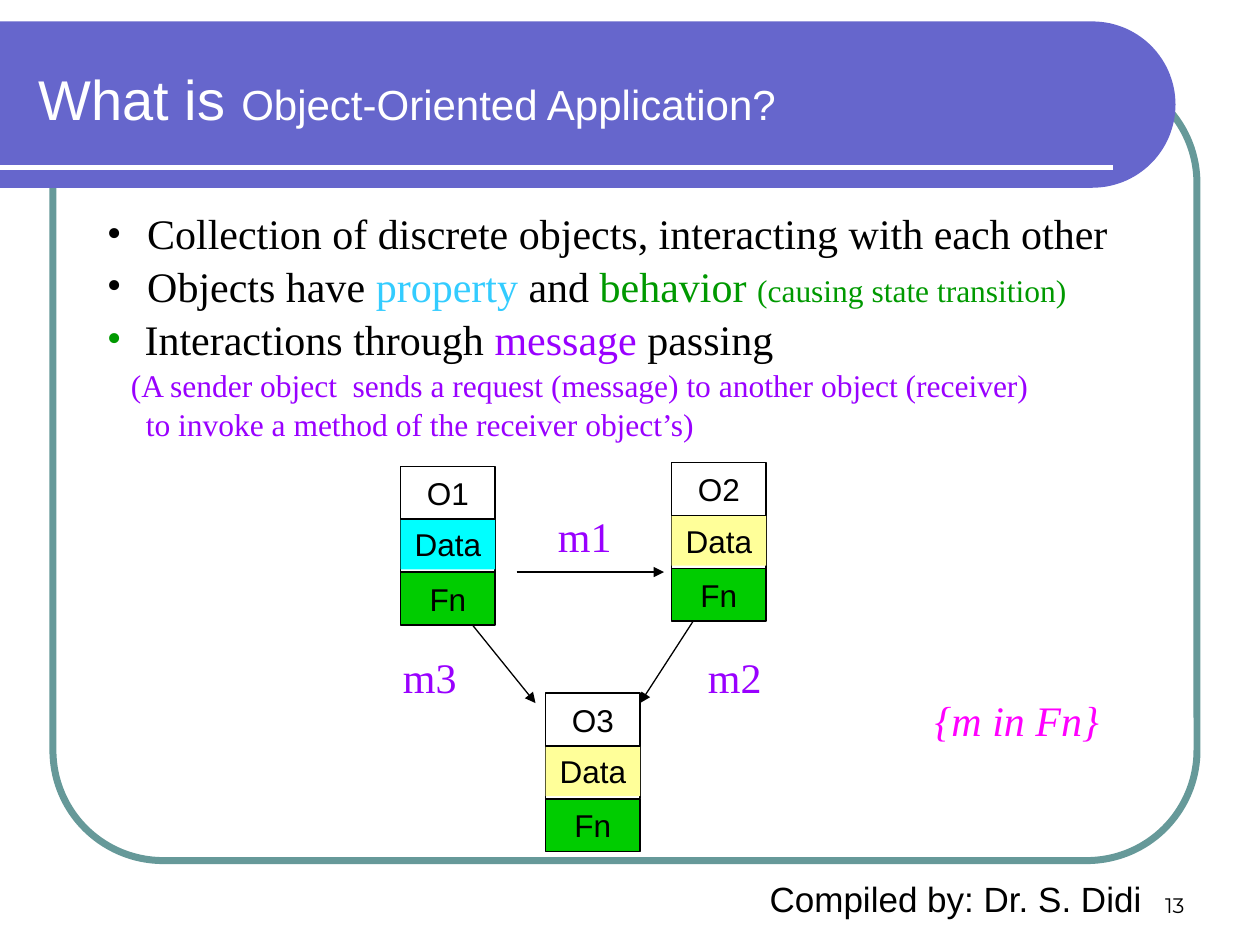
from math import cos, pi, sin

from lxml.etree import SubElement
from pptx import Presentation
from pptx.dml.color import RGBColor
from pptx.enum.shapes import MSO_CONNECTOR as Connector, MSO_SHAPE as Shape
from pptx.enum.text import MSO_ANCHOR as Anchor, PP_ALIGN as Align
from pptx.oxml.ns import qn
from pptx.util import Inches, Pt

BLACK = RGBColor(0x00, 0x00, 0x00)
WHITE = RGBColor(0xFF, 0xFF, 0xFF)
TEAL = RGBColor(0x66, 0x99, 0x99)
INDIGO = RGBColor(0x66, 0x66, 0xCC)
SKY = RGBColor(0x33, 0xCC, 0xFF)
CYAN = RGBColor(0x00, 0xFF, 0xFF)
YELLOW = RGBColor(0xFF, 0xFF, 0x99)
LIME = RGBColor(0x00, 0xCC, 0x00)
GREEN = RGBColor(0x00, 0x99, 0x00)
PURPLE = RGBColor(0x99, 0x00, 0xFF)
MAGENTA = RGBColor(0xFF, 0x00, 0xFF)

SANS, SERIF, NUMBER_FONT = "Arial", "Times New Roman", "Montserrat"
BOX_WIDTH, ROW_HEIGHT = 0.75, 0.42


class SlideBuilder:
    def __init__(self, slide):
        self.slide = slide

    def style(self, shape, fill=None, line=None, weight=0.75):
        shape.shadow.inherit = False
        if fill is None:
            shape.fill.background()
        else:
            shape.fill.solid()
            shape.fill.fore_color.rgb = fill
        if line is None:
            shape.line.fill.background()
        else:
            shape.line.color.rgb = line
            shape.line.width = Pt(weight)
        return shape

    def box(self, left, top, width, height, kind=Shape.RECTANGLE, **style):
        shape = self.slide.shapes.add_shape(
            kind, Inches(left), Inches(top), Inches(width), Inches(height))
        return self.style(shape, **style)

    def banner(self, top, center_x, radius, fill):
        """Band from the left edge of the slide, ending in a half circle."""
        angles = [-pi / 2 + pi * step / 60 for step in range(61)]
        arc = [(Inches(center_x + radius * cos(angle)),
                Inches(top + radius + radius * sin(angle))) for angle in angles]
        outline = self.slide.shapes.build_freeform(0, Inches(top))
        outline.add_line_segments(arc + [(0, Inches(top + 2 * radius))], close=True)
        self.style(outline.convert_to_shape(), fill)

    def line(self, start, end, color=BLACK, weight=0.75, arrow=False):
        connector = self.slide.shapes.add_connector(
            Connector.STRAIGHT, *map(Inches, start + end))
        connector.line.color.rgb = color
        connector.line.width = Pt(weight)
        properties = connector._element.spPr
        if arrow:
            SubElement(properties.get_or_add_ln(), qn("a:tailEnd"), type="triangle")
        SubElement(properties, qn("a:effectLst"))

    def text(self, left, top, width, height, anchor=Anchor.TOP, wrap=True):
        frame = self.slide.shapes.add_textbox(
            Inches(left), Inches(top), Inches(width), Inches(height)).text_frame
        frame.word_wrap = wrap
        frame.vertical_anchor = anchor
        return frame

    def add_runs(self, paragraph, runs, font=SANS, size=18, color=BLACK,
                 align=Align.LEFT, italic=False):
        """Each run is (text, own color or None, own size or None)."""
        paragraph.alignment = align
        paragraph.font.name = font
        paragraph.font.size = Pt(size)
        paragraph.font.color.rgb = color
        paragraph.font.italic = italic
        for words, run_color, run_size in runs:
            run = paragraph.add_run()
            run.text = words
            if run_color is not None:
                run.font.color.rgb = run_color
            if run_size is not None:
                run.font.size = Pt(run_size)

    def caption(self, frame, words, **style):
        self.add_runs(frame.paragraphs[0], [(words, None, None)], **style)

    def indent(self, paragraph, margin, bullet_color=None):
        properties = paragraph._p.get_or_add_pPr()
        properties.set("marL", str(Inches(margin)))
        if bullet_color is not None:
            properties.set("indent", str(-Inches(margin)))
            color = SubElement(properties, qn("a:buClr"))
            SubElement(color, qn("a:srgbClr"), val=str(bullet_color))
            SubElement(properties, qn("a:buFont"), typeface=SERIF)
            SubElement(properties, qn("a:buChar"), char="•")

    def object_stack(self, left, top, name, data_fill):
        """An object drawn as name, data and function cells."""
        data_top = top + ROW_HEIGHT
        cells = [
            (data_top + ROW_HEIGHT, ROW_HEIGHT, "Fn", LIME, BLACK),
            (data_top, ROW_HEIGHT, "", None, BLACK),
            (data_top, 0.4, "Data", data_fill, None),
            (top, ROW_HEIGHT, name, None, BLACK),
        ]
        for cell_top, height, words, fill, line in cells:
            cell = self.box(left, cell_top, BOX_WIDTH, height, fill=fill, line=line)
            if words:
                cell.text_frame.word_wrap = False
                cell.text_frame.vertical_anchor = Anchor.MIDDLE
                self.caption(cell.text_frame, words, align=Align.CENTER)


def main():
    presentation = Presentation()
    presentation.slide_width, presentation.slide_height = Inches(10), Inches(7.5)
    slide = presentation.slides.add_slide(presentation.slide_layouts[6])
    builder = SlideBuilder(slide)

    border = builder.box(0.42, 0.58, 9.08, 6.25, Shape.ROUNDED_RECTANGLE,
                         line=TEAL, weight=4)
    border.adjustments[0] = 0.14
    builder.banner(top=0.17, center_x=8.67, radius=0.66, fill=INDIGO)
    builder.line((0, 1.33), (8.83, 1.33), WHITE, 3)

    number = builder.text(7.17, 6.83, 2.33, 0.5, Anchor.BOTTOM)
    builder.caption(number, "13", font=NUMBER_FONT, size=12, align=Align.RIGHT)
    title = builder.text(0.21, 0.28, 8.77, 1, Anchor.MIDDLE)
    builder.add_runs(title.paragraphs[0], [
        ("What is ", None, None),
        ("Object-Oriented Application?", None, 24),
    ], size=32, color=WHITE)

    # margin, bullet color, size, color, runs
    points = [
        (0.32, BLACK, 24, BLACK, [
            ("Collection of discrete objects, interacting with each other", None, None)]),
        (0.32, BLACK, 24, BLACK, [
            ("Objects have ", None, None), ("property", SKY, None),
            (" and ", None, None), ("behavior ", GREEN, None),
            ("(causing state transition)", GREEN, 18)]),
        (0.3, GREEN, 24, BLACK, [
            ("Interactions through ", None, None), ("message", PURPLE, None),
            (" passing", None, None)]),
        (0.19, None, 18, PURPLE, [
            ("(A sender object  sends a request (message) to another object (receiver)",
             None, None)]),
        (0.31, None, 18, PURPLE, [
            ("to invoke a method of the receiver object’s)", None, None)]),
    ]
    body = builder.text(0.75, 1.58, 9, 3.18)
    for index, (margin, bullet_color, size, color, runs) in enumerate(points):
        paragraph = body.add_paragraph() if index else body.paragraphs[0]
        paragraph.line_spacing = 1.05
        builder.indent(paragraph, margin, bullet_color)
        builder.add_runs(paragraph, runs, SERIF, size, color)

    for start, end in [((4.1, 4.54), (5.27, 4.54)),
                       ((3.58, 4.75), (4.25, 5.58)),
                       ((5.67, 4.67), (5.08, 5.58))]:
        builder.line(start, end, arrow=True)

    for left, top, name, data_fill in [(3.18, 3.7, "O1", CYAN),
                                       (5.33, 3.67, "O2", YELLOW),
                                       (4.33, 5.5, "O3", YELLOW)]:
        builder.object_stack(left, top, name, data_fill)

    for left, top, message in [(4.33, 4, "m1"), (5.52, 5.12, "m2"), (3.1, 5.12, "m3")]:
        label = builder.text(left, top, 0.63, 0.5, wrap=False)
        builder.caption(label, message, font=SERIF, size=24, color=PURPLE)
    note = builder.text(7.32, 5.46, 1.59, 0.5, wrap=False)
    builder.caption(note, "{m in Fn}", font=SERIF, size=24, color=MAGENTA, italic=True)

    footer = builder.text(6, 6.6, 3.17, 0.75, Anchor.BOTTOM)
    builder.caption(footer, "Compiled by: Dr. S. Didi", size=20, align=Align.CENTER)

    presentation.save("out.pptx")


if __name__ == "__main__":
    main()
